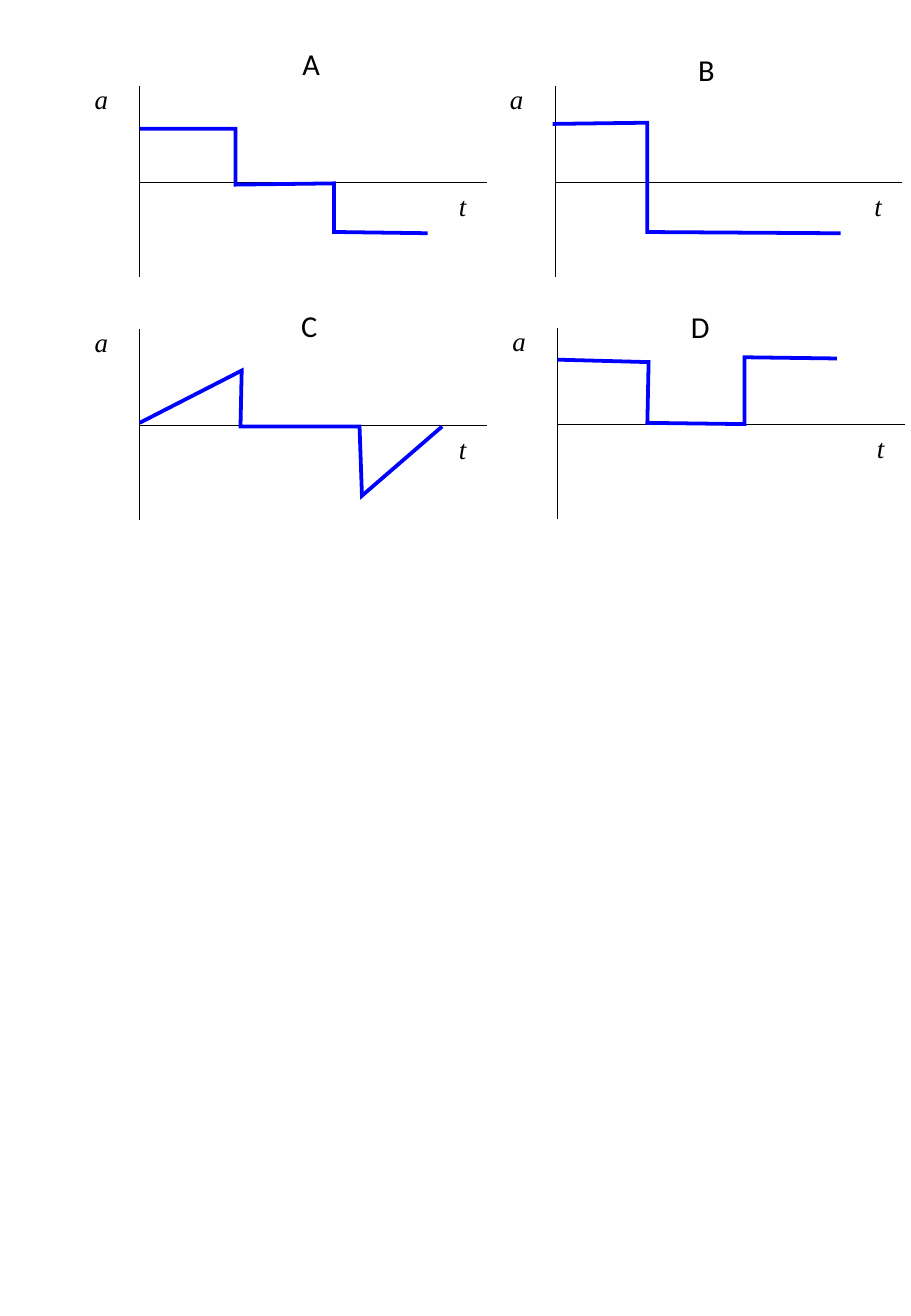
import pptx
import pptx.dml.color
import pptx.enum.shapes
import pptx.enum.text
import pptx.oxml
import pptx.oxml.ns
import pptx.util

Inches = pptx.util.Inches
BLACK = pptx.dml.color.RGBColor(0x00, 0x00, 0x00)
BLUE = pptx.dml.color.RGBColor(0x00, 0x00, 0xFF)

AXIS_WIDTH, AXIS_HEIGHT = 2.86, 1.57
TIME_AXIS_DROP = 0.79

# Name, origin of the axes, offset of the name, points of the curve from the origin
GRAPHS = [
    ("A", (1.15, 0.71), (1.24, -0.39),
     [(0, 0.35), (0.79, 0.35), (0.79, 0.81), (1.6, 0.8), (1.6, 1.2), (2.37, 1.21)]),
    ("B", (4.57, 0.71), (1.08, -0.34),
     [(-0.02, 0.31), (0.76, 0.3), (0.76, 1.2), (2.35, 1.21)]),
    ("C", (1.15, 2.71), (1.23, -0.23),
     [(0, 0.77), (0.84, 0.34), (0.83, 0.8), (1.81, 0.8), (1.83, 1.37), (2.49, 0.8)]),
    ("D", (4.59, 2.7), (1, -0.21),
     [(0, 0.26), (0.75, 0.28), (0.74, 0.78), (1.54, 0.79), (1.54, 0.24), (2.3, 0.25)]),
]


def add_axis(slide, start, end):
    axis = slide.shapes.add_connector(
        pptx.enum.shapes.MSO_CONNECTOR.STRAIGHT, *map(Inches, start + end))
    axis.line.color.rgb = BLACK
    axis.line.width = pptx.util.Pt(0.5)
    axis.element.spPr.append(pptx.oxml.parse_xml(
        f"<a:effectLst {pptx.oxml.ns.nsdecls('a')}/>"))


def add_label(slide, text, left, top, width, height, font_name, size, italic=False):
    label = slide.shapes.add_textbox(*map(Inches, (left, top, width, height)))
    frame = label.text_frame
    frame.word_wrap = False
    frame.auto_size = pptx.enum.text.MSO_AUTO_SIZE.SHAPE_TO_FIT_TEXT
    paragraph = frame.paragraphs[0]
    paragraph.text = text
    paragraph.font.name = font_name
    paragraph.font.size = pptx.util.Pt(size)
    paragraph.font.italic = italic
    paragraph.font.color.rgb = BLACK


def add_curve(slide, points):
    """Draw an open blue line with sharp corners through points in inches."""
    start, *others = [(Inches(x), Inches(y)) for x, y in points]
    builder = slide.shapes.build_freeform(*start)
    builder.add_line_segments(others, close=False)
    curve = builder.convert_to_shape()
    curve.shadow.inherit = False
    curve.fill.background()
    curve.line.color.rgb = BLUE
    curve.line.width = pptx.util.Pt(2.25)
    curve.element.spPr.get_or_add_ln().append(pptx.oxml.parse_xml(
        f"<a:miter {pptx.oxml.ns.nsdecls('a')} lim=\"800000\"/>"))


def add_graph(slide, name, origin, name_offset, curve_offsets):
    left, top = origin
    time_axis = top + TIME_AXIS_DROP
    add_axis(slide, origin, (left, top + AXIS_HEIGHT))
    add_axis(slide, (left, time_axis), (left + AXIS_WIDTH, time_axis))
    add_curve(slide, [(left + x, top + y) for x, y in curve_offsets])
    add_label(slide, "a", left - 0.47, top - 0.08, 0.32, 0.37,
              "Times New Roman", 16, italic=True)
    add_label(slide, "t", left + 2.53, top + 0.8, 0.27, 0.37,
              "Times New Roman", 16, italic=True)
    add_label(slide, name, left + name_offset[0], top + name_offset[1], 0.35, 0.4,
              "Calibri", 18)


def main():
    presentation = pptx.Presentation()
    presentation.slide_width = Inches(7.5)
    presentation.slide_height = Inches(10.83)
    slide = presentation.slides.add_slide(presentation.slide_layouts[6])
    for graph in GRAPHS:
        add_graph(slide, *graph)
    presentation.save("out.pptx")


if __name__ == "__main__":
    main()
